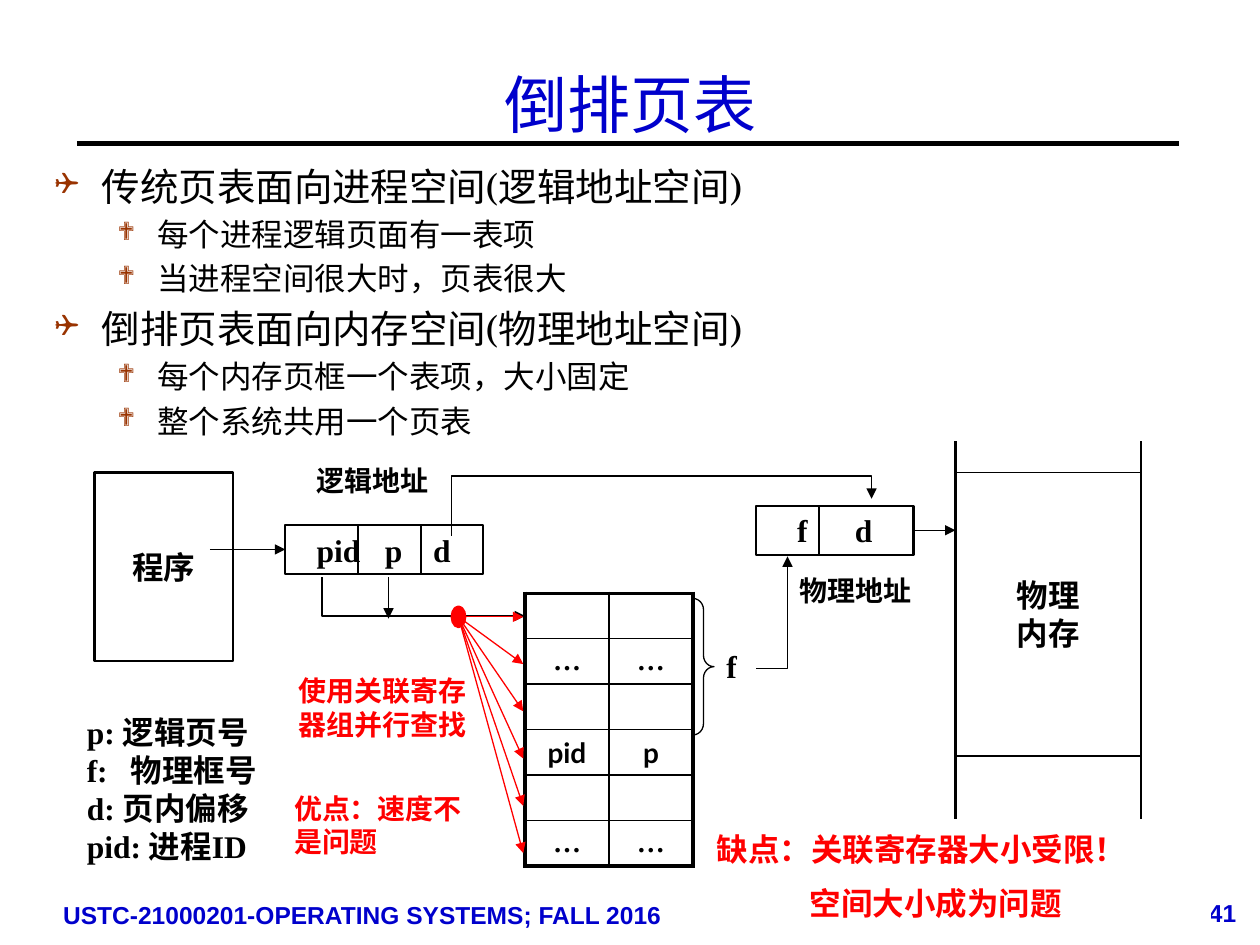
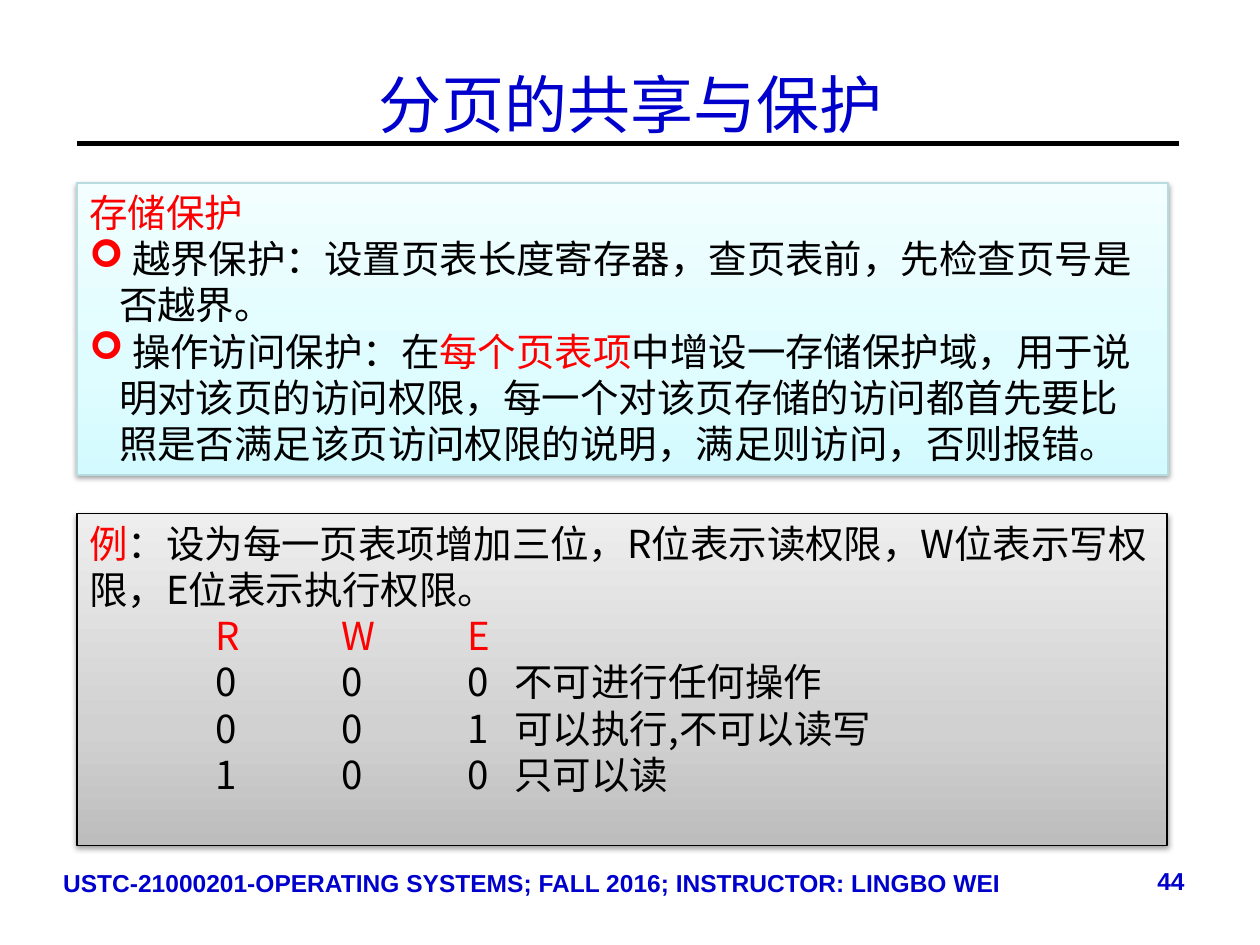
from pptx import Presentation
from pptx.dml.color import RGBColor
from pptx.enum.shapes import MSO_CONNECTOR, MSO_SHAPE
from pptx.enum.text import MSO_ANCHOR, PP_ALIGN
from pptx.oxml import parse_xml
from pptx.oxml.ns import nsdecls
from pptx.util import Pt

BLACK, WHITE, RED, BLUE, BROWN = "000000", "FFFFFF", "FF0000", "0000CC", "993300"
SERIF, BODY, SANS, FOOTER, CELL = (
    "Times New Roman", "TeX Gyre Schola", "Noto Sans CJK SC", "Arial", "Lato")
LEFT, CENTER, RIGHT = PP_ALIGN.LEFT, PP_ALIGN.CENTER, PP_ALIGN.RIGHT
TOP, MIDDLE = MSO_ANCHOR.TOP, MSO_ANCHOR.MIDDLE
STRAIGHT = MSO_CONNECTOR.STRAIGHT
RECTANGLE, OVAL, BRACE = MSO_SHAPE.RECTANGLE, MSO_SHAPE.OVAL, MSO_SHAPE.RIGHT_BRACE
LABEL = {"name": SERIF, "size": Pt(18), "bold": True}
SMALL_LABEL = {**LABEL, "size": Pt(16)}
FOOTER_FONT = {"name": FOOTER, "size": Pt(14), "bold": True}
PANEL_FONT = {"name": SANS, "size": Pt(22), "bold": False}
COURSE = "USTC-21000201-OPERATING SYSTEMS; FALL 2016"


def color(value):
    """Turn a hex string into a colour."""
    return RGBColor.from_string(value)


def points(*values):
    """Convert numbers to lengths in points."""
    return [Pt(value) for value in values]


def xml(text):
    """Build a DrawingML element from its tag and content."""
    head, tail = text.split(" ", 1)
    return parse_xml(f"{head} {nsdecls('a')} {tail}")


def add_run(paragraph, text, font, shade=BLACK):
    """Append a formatted run to a paragraph."""
    run = paragraph.add_run()
    run.text = text
    for name, value in font.items():
        setattr(run.font, name, value)
    run.font.color.rgb = color(shade)


def write(frame, lines, font, shade=BLACK, align=LEFT, before=0):
    """Fill a frame, one paragraph for each line of text or list of runs."""
    for index, line in enumerate(lines):
        paragraph = frame.paragraphs[0] if index == 0 else frame.add_paragraph()
        paragraph.alignment = align
        paragraph.space_before = Pt(before)
        for text, run_shade in [(line, shade)] if isinstance(line, str) else line:
            add_run(paragraph, text, font, run_shade)


def set_indent(paragraph, margin, first):
    """Set the left margin and first-line indent."""
    properties = paragraph._p.get_or_add_pPr()
    properties.set("marL", str(Pt(margin)))
    properties.set("indent", str(Pt(first)))


def set_bullet(paragraph, symbol, shade, margin, hanging, size=100):
    """Give a paragraph a coloured bullet with a hanging indent."""
    set_indent(paragraph, margin, -hanging)
    properties = paragraph._p.get_or_add_pPr()
    for text in (f'<a:buClr ><a:srgbClr val="{shade}"/></a:buClr>',
                 f'<a:buSzPct val="{size * 1000}"/>',
                 '<a:buFont typeface="Wingdings"/>',
                 f'<a:buChar char="{symbol}"/>'):
        properties.append(xml(text))


def set_tabs(paragraph, stops):
    """Set left tab stops."""
    tabs = "".join(f'<a:tab pos="{Pt(stop)}" algn="l"/>' for stop in stops)
    paragraph._p.get_or_add_pPr().append(xml(f"<a:tabLst >{tabs}</a:tabLst>"))


def add_arrowhead(line):
    """Put a triangle at the end of a line."""
    line._get_or_add_ln().append(xml('<a:tailEnd type="triangle"/>'))


def add_line(slide, start, end, width=0.75, shade=BLACK, arrow=False):
    """Draw a straight line, with an arrowhead on request."""
    connector = slide.shapes.add_connector(STRAIGHT, *points(*start, *end))
    connector.line.color.rgb = color(shade)
    connector.line.width = Pt(width)
    if arrow:
        add_arrowhead(connector.line)
    connector.element.spPr.append(xml("<a:effectLst />"))
    return connector


def add_elbow(slide, start, *corners):
    """Draw a bent arrow through the given corners."""
    builder = slide.shapes.build_freeform(*start, scale=Pt(1))
    builder.add_line_segments(corners, close=False)
    shape = builder.convert_to_shape()
    shape.shadow.inherit = False
    shape.fill.background()
    shape.line.color.rgb = color(BLACK)
    shape.line.width = Pt(0.75)
    add_arrowhead(shape.line)


def add_box(slide, box, fill=WHITE, line=BLACK, width=1.25, kind=RECTANGLE):
    """Draw a preset shape; a fill or line of None is left empty."""
    shape = slide.shapes.add_shape(kind, *points(*box))
    shape.shadow.inherit = False
    for part, shade in ((shape.fill, fill), (shape.line.fill, line)):
        if shade:
            part.solid()
            part.fore_color.rgb = color(shade)
        else:
            part.background()
    if line:
        shape.line.width = Pt(width)
    frame = shape.text_frame
    frame.word_wrap = True
    frame.vertical_anchor = TOP
    return shape


def add_text(slide, box, lines, font, shade=BLACK, align=LEFT, before=0):
    """Place a wrapping text box."""
    frame = slide.shapes.add_textbox(*points(*box)).text_frame
    frame.word_wrap = True
    write(frame, lines, font, shade, align, before)


def add_centered_box(slide, box, lines, width=1.25):
    """Draw a box with a bold label in its middle."""
    shape = add_box(slide, box, width=width)
    shape.text_frame.vertical_anchor = MIDDLE
    write(shape.text_frame, lines, LABEL, align=CENTER)


def add_address(slide, box, fields, stops, dividers):
    """Draw an address box split into fields."""
    left, top, _, height = box
    shape = add_box(slide, box)
    frame = shape.text_frame
    frame.margin_left = frame.margin_right = 0
    frame.vertical_anchor = MIDDLE
    write(frame, ["".join("\t" + field for field in fields)], LABEL)
    set_tabs(frame.paragraphs[0], stops)
    for offset in dividers:
        add_line(slide, (left + offset, top), (left + offset, top + height))
    return shape


def start_slide(presentation, layout, title, footer, page, footer_top, page_right):
    """Add a slide with its rule, title, footer and page number."""
    slide = presentation.slides.add_slide(presentation.slide_layouts[layout])
    add_line(slide, (44, 82), (674, 82), 3)
    heading = slide.shapes.title
    heading.left, heading.top, heading.width, heading.height = points(36, 14, 648, 90)
    heading.text_frame.vertical_anchor = MIDDLE
    write(heading.text_frame, [title], {"name": SERIF, "size": Pt(36)}, BLUE, CENTER)
    add_text(slide, (29, footer_top, 567, 37), [footer], FOOTER_FONT, BLUE)
    add_text(slide, (page_right - 73, footer_top - 1, 73, 37), [page],
             FOOTER_FONT, BLUE, RIGHT)
    return slide


def fill_outline(slide, box, items):
    """Fill the body placeholder with a two-level list."""
    body = slide.placeholders[1]
    body.left, body.top, body.width, body.height = points(*box)
    frame = body.text_frame
    for index, (level, text) in enumerate(items):
        paragraph = frame.paragraphs[0] if index == 0 else frame.add_paragraph()
        size, symbol, margin, hanging = ((22, "❑", 27, 27), (18, "❖", 58.5, 22.5))[level]
        paragraph.level = level
        paragraph.space_before = Pt(size * 0.2)
        set_bullet(paragraph, symbol, BROWN, margin, hanging, 80)
        add_run(paragraph, text, {"name": BODY, "size": Pt(size)})


def add_page_table(slide, box, rows):
    """Draw the inverted page table with a heavy outer frame."""
    height = box[3] / len(rows)
    table = slide.shapes.add_table(len(rows), 2, *points(*box)).table
    for row_index, (texts, font) in enumerate(rows):
        table.rows[row_index].height = Pt(height)
        for column, text in enumerate(texts):
            cell = table.cell(row_index, column)
            cell.margin_top = cell.margin_bottom = Pt(1)
            cell.vertical_anchor = MIDDLE
            write(cell.text_frame, [text], {**SMALL_LABEL, "name": font}, align=CENTER)
            properties = cell._tc.get_or_add_tcPr()
            outer = {"L": column == 0, "R": column == 1, "T": row_index == 0,
                     "B": row_index == len(rows) - 1}
            for side, heavy in outer.items():
                properties.append(xml(
                    f'<a:ln{side} w="{Pt(2.25 if heavy else 1)}"><a:solidFill>'
                    f'<a:srgbClr val="{BLACK}"/></a:solidFill></a:ln{side}>'))
            cell.fill.background()


def add_memory(slide, box):
    """Draw physical memory as a block between two long walls."""
    left, top, width, height = box
    add_centered_box(slide, (left, top + 18, width, height - 54), ["物理", "内存"], 0.75)
    for wall in (left, left + width):
        add_line(slide, (wall, top), (wall, top + height), 1.25)


def add_lookup_fan(slide, hub, table_left, count, step):
    """Draw the parallel lookup arrows from one hub to every table row."""
    x, y = hub
    for index in range(count):
        add_line(slide, hub, (table_left, y + index * step), shade=RED, arrow=True)
    add_box(slide, (x - 3.5, y - 5.5, 7, 11), RED, RED, 2, OVAL)


def add_translation(slide):
    """Draw the address translation from program to memory."""
    add_centered_box(slide, (54, 270, 79, 108), ["程序"])
    add_memory(slide, (546, 252, 106, 216))
    dots, empty, entry = (("…", "…"), SERIF), (("", ""), SERIF), (("pid", "p"), CELL)
    add_page_table(slide, (300, 339, 96, 156), [empty, dots, empty, entry, empty, dots])
    physical = add_address(slide, (432, 289, 90, 28), ["f", "d"], (23.5, 56.5), [36])
    logical = add_address(slide, (163, 300, 113, 28), ["pid", "p", "d"],
                          (18, 57, 84.5), [41.5, 77.5])
    add_line(slide, (120, 314), (163, 314), arrow=True).end_connect(logical, 1)
    add_line(slide, (522, 303), (546, 303), arrow=True).begin_connect(physical, 3)
    add_line(slide, (222, 330), (222, 353.5), arrow=True)
    add_elbow(slide, (184, 330), (184, 352.5), (300, 352.5))
    add_elbow(slide, (432, 381.5), (450, 381.5), (450, 317.5))
    add_elbow(slide, (258, 306), (258, 271.5), (498, 271.5), (498, 285))
    brace = add_box(slide, (396, 342, 12, 78), None, BLACK, 0.75, BRACE)
    brace.adjustments[0] = 0.54
    add_lookup_fan(slide, (262, 352.5), 299, 6, 27)


def add_remarks(slide):
    """Place the labels, the legend and the remarks in red."""
    add_text(slide, (408, 366, 36, 29), ["f"], LABEL)
    add_text(slide, (156, 261.5, 96, 27), ["逻辑地址"], SMALL_LABEL, align=RIGHT)
    add_text(slide, (450, 324, 96, 27), ["物理地址"], SMALL_LABEL)
    add_text(slide, (160.5, 381.5, 113, 46), ["使用关联寄存器组并行查找"],
             SMALL_LABEL, RED, RIGHT)
    add_text(slide, (161, 448.5, 113, 46), ["优点：速度不是问题"], SMALL_LABEL, RED)
    drawback = add_box(slide, (402.5, 471, 289.5, 62), line=None).text_frame
    write(drawback, ["缺点：关联寄存器大小受限！", "空间大小成为问题"], LABEL, RED, before=9)
    set_indent(drawback.paragraphs[1], 53, 0)
    legend = add_box(slide, (42.5, 404, 112, 94), line=None).text_frame
    write(legend, ["p: 逻辑页号", "f:\t物理框号", "d: 页内偏移", "pid: 进程ID"], LABEL)
    set_tabs(legend.paragraphs[1], [25])


def add_panel(slide, box, lines, stops, line):
    """Draw a shaded panel with a soft shadow and return its text frame."""
    shape = add_box(slide, box, None, line, 0.75)
    properties = shape.element.spPr
    properties.remove(properties.find("{*}noFill"))
    shades = "".join(f'<a:gs pos="{place * 1000}"><a:srgbClr val="{shade}"/></a:gs>'
                     for place, shade in zip((0, 35, 100), stops))
    properties.find("{*}prstGeom").addnext(xml(
        f'<a:gradFill rotWithShape="1"><a:gsLst>{shades}</a:gsLst>'
        '<a:lin ang="16200000" scaled="0"/></a:gradFill>'))
    properties.find("{*}effectLst").append(xml(
        f'<a:outerShdw blurRad="{Pt(3.1)}" dist="{Pt(1.6)}" dir="5400000" '
        f'rotWithShape="0"><a:srgbClr val="{BLACK}"><a:alpha val="38000"/>'
        '</a:srgbClr></a:outerShdw>'))
    write(shape.text_frame, lines, PANEL_FONT)
    return shape.text_frame


def add_protection(slide):
    """Draw the panel of protection rules and the panel with the example."""
    rules = add_panel(slide, (44, 104.5, 623.5, 167), [
        [("存储保护", RED)],
        " 越界保护：设置页表长度寄存器，查页表前，先检查页号是否越界。",
        [(" 操作访问保护：在", BLACK), ("每个页表项", RED),
         ("中增设一存储保护域，用于说明对该页的访问权限，每一个对该页存储的访问都首先要"
          "比照是否满足该页访问权限的说明，满足则访问，否则报错。", BLACK)],
    ], ("D3FBFF", "DFFCFF", "F2FEFF"), "B6DCDF")
    for paragraph in rules.paragraphs[1:]:
        set_bullet(paragraph, "➢", RED, 17, 17)
    example = add_panel(slide, (44, 293.5, 623, 189.5), [
        [("例", RED), ("：设为每一页表项增加三位，R位表示读权限，W位表示写权限，"
                      "E位表示执行权限。", BLACK)],
        [("\tR\tW\tE", RED)],
        "\t0\t0\t0\t不可进行任何操作",
        "\t0\t0\t1\t可以执行,不可以读写",
        "\t1\t0\t0\t只可以读",
    ], ("BDBDBD", "D1D1D1", "EEEEEE"), BLACK)
    for paragraph in example.paragraphs[1:]:
        set_tabs(paragraph, (72, 144, 216, 243))


def main():
    """Build both slides and save them."""
    presentation = Presentation()
    presentation.slide_width, presentation.slide_height = points(720, 540)
    slide = start_slide(presentation, 1, "倒排页表", COURSE, "41", 510.5, 713.5)
    fill_outline(slide, (24, 89.5, 696, 170), [
        (0, "传统页表面向进程空间(逻辑地址空间)"),
        (1, "每个进程逻辑页面有一表项"), (1, "当进程空间很大时，页表很大"),
        (0, "倒排页表面向内存空间(物理地址空间)"),
        (1, "每个内存页框一个表项，大小固定"), (1, "整个系统共用一个页表")])
    add_translation(slide)
    add_remarks(slide)
    slide = start_slide(presentation, 5, "分页的共享与保护",
                        COURSE + "; INSTRUCTOR: LINGBO WEI", "44", 492.5, 684)
    add_protection(slide)
    presentation.save("out.pptx")


if __name__ == "__main__":
    main()
